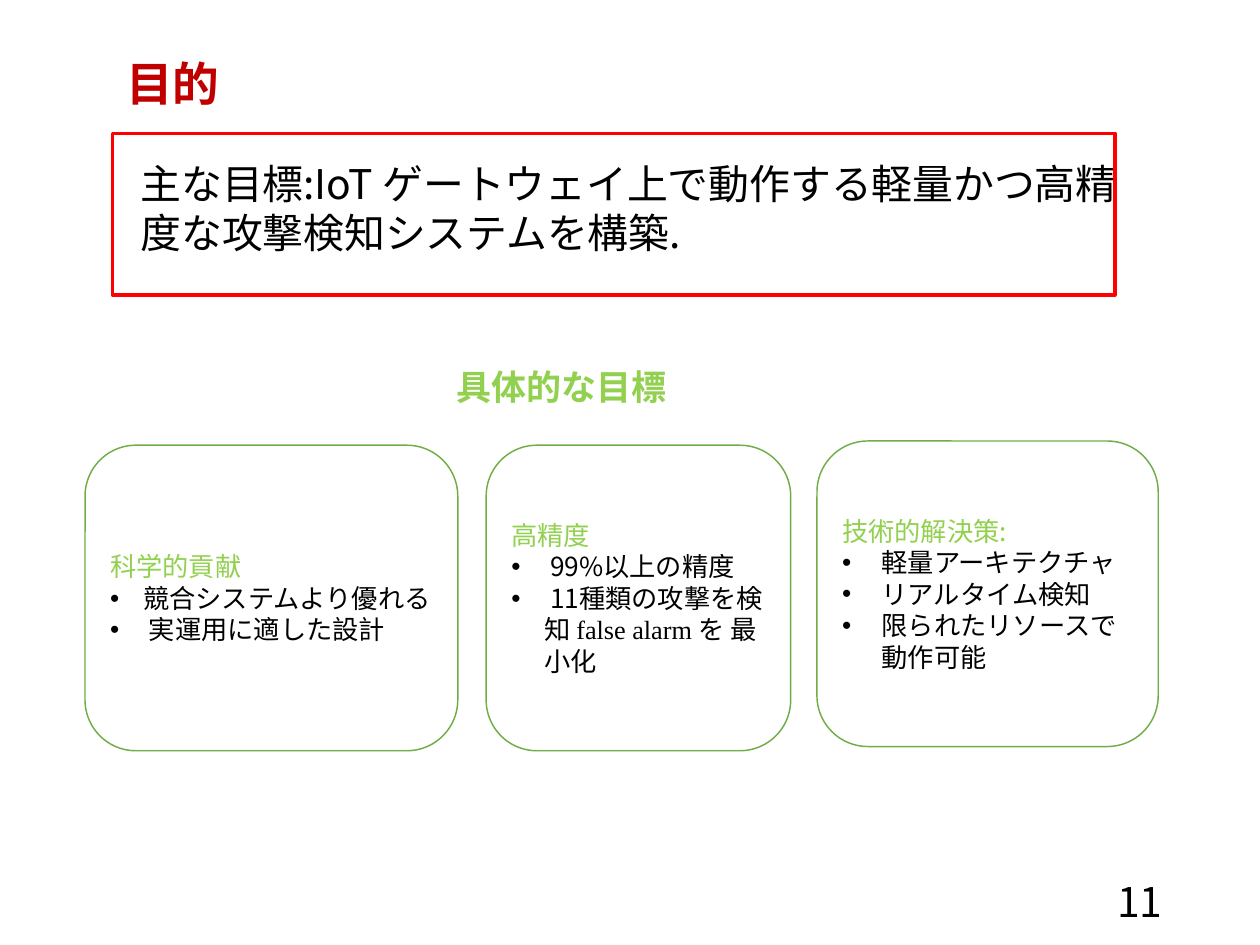
"""Build the slide on the goals of a lightweight attack detection system."""
from dataclasses import dataclass

from lxml import etree
from pptx import Presentation
from pptx.dml.color import RGBColor
from pptx.enum.shapes import MSO_SHAPE
from pptx.enum.text import MSO_ANCHOR, MSO_AUTO_SIZE, PP_ALIGN
from pptx.oxml.ns import qn
from pptx.util import Pt

RECTANGLE, ROUNDED = MSO_SHAPE.RECTANGLE, MSO_SHAPE.ROUNDED_RECTANGLE
TOP, MIDDLE = MSO_ANCHOR.TOP, MSO_ANCHOR.MIDDLE
LEFT, RIGHT = PP_ALIGN.LEFT, PP_ALIGN.RIGHT
NO_AUTOFIT = MSO_AUTO_SIZE.NONE

BLACK = RGBColor(0x00, 0x00, 0x00)
WHITE = RGBColor(0xFF, 0xFF, 0xFF)
RED = RGBColor(0xFF, 0x00, 0x00)
DARK_RED = RGBColor(0xC0, 0x00, 0x00)
LIME = RGBColor(0x92, 0xD0, 0x50)
GREEN = RGBColor(0x70, 0xAD, 0x47)

SANS = "Noto Sans CJK JP"
SERIF = "Times New Roman"
CARD_HEIGHT = 209.5


@dataclass
class Area:
    """Position and size in points."""
    left: float
    top: float
    width: float
    height: float


@dataclass
class Label:
    """A single line of text or a short passage."""
    text: str
    area: Area
    size: float
    color: RGBColor = BLACK
    bold: bool = False
    align: PP_ALIGN = LEFT
    anchor: MSO_ANCHOR = TOP


@dataclass
class Card:
    """A goal card; each bullet is a list of (text, font) spans."""
    heading: str
    bullets: list[list[tuple[str, str]]]
    area: Area
    indent: float


TITLE = Label("目的", Area(79.2, 33.8, 432, 46), 32, DARK_RED, True)
LABELS = [
    Label("主な目標:IoT ゲートウェイ上で動作する軽量かつ高精度な攻撃検知システムを構築.",
          Area(89.3, 105.1, 695.5, 108.7), 28),
    Label("具体的な目標", Area(306, 247, 432, 36), 24, LIME, True),
    Label("11", Area(609.8, 600.5, 194.4, 34.6), 28, align=RIGHT, anchor=MIDDLE),
]
GOAL_FRAME = Area(77, 91.4, 687.6, 110.9)
CARDS = [
    Card("科学的貢献",
         [[("競合システムより優れる", SANS)], [(" 実運用に適した設計", SANS)]],
         Area(58.3, 305.3, 255.6, CARD_HEIGHT), 22.5),
    Card("高精度",
         [[(" 99%以上の精度", SANS)],
          [(" 11種類の攻撃を検知 ", SANS), ("false alarm ", SERIF), ("を 最小化", SANS)]],
         Area(333.4, 305.3, 208.8, CARD_HEIGHT), 22.5),
    Card("技術的解決策:",
         [[("軽量アーキテクチャ", SANS)], [("リアルタイム検知", SANS)],
          [("限られたリソースで動作可能", SANS)]],
         Area(560.2, 302.4, 234, CARD_HEIGHT), 27),
]


def place(shape, area: Area) -> None:
    shape.left, shape.top = Pt(area.left), Pt(area.top)
    shape.width, shape.height = Pt(area.width), Pt(area.height)


def style_span(span, size: float, color: RGBColor, bold: bool = False,
               typeface: str = SANS) -> None:
    span.font.size = Pt(size)
    span.font.bold = bold
    span.font.color.rgb = color
    span.font.name = typeface
    latin = span.font._element.find(qn("a:latin"))
    east_asian = etree.Element(qn("a:ea"), typeface=SANS)
    latin.addnext(east_asian)


def fill_label(box, label: Label) -> None:
    place(box, label.area)
    frame = box.text_frame
    frame.word_wrap = True
    frame.auto_size = NO_AUTOFIT
    frame.vertical_anchor = label.anchor
    frame.text = label.text
    para = frame.paragraphs[0]
    para.alignment = label.align
    style_span(para.runs[0], label.size, label.color, label.bold)


def add_label(page, label: Label) -> None:
    fill_label(page.shapes.add_textbox(0, 0, 0, 0), label)


def add_outline(page, kind: MSO_SHAPE, area: Area, color: RGBColor, weight: float):
    shape = page.shapes.add_shape(kind, 0, 0, 0, 0)
    place(shape, area)
    shape.shadow.inherit = False
    shape.fill.background()
    shape.line.color.rgb = color
    shape.line.width = Pt(weight)
    return shape


def add_bullet(para, indent: float) -> None:
    properties = para._p.get_or_add_pPr()
    properties.set("marL", str(Pt(indent)))
    properties.set("indent", str(-Pt(indent)))
    etree.SubElement(properties, qn("a:buFont"), typeface="Arial")
    etree.SubElement(properties, qn("a:buChar"), char="•")


def add_card(page, card: Card) -> None:
    shape = add_outline(page, ROUNDED, card.area, GREEN, 1)
    shape.fill.solid()
    shape.fill.fore_color.rgb = WHITE
    frame = shape.text_frame
    frame.word_wrap = True
    frame.vertical_anchor = MIDDLE
    frame.text = card.heading
    heading = frame.paragraphs[0]
    heading.alignment = LEFT
    style_span(heading.runs[0], 18, LIME)
    for bullet in card.bullets:
        para = frame.add_paragraph()
        para.alignment = LEFT
        add_bullet(para, card.indent)
        for text, typeface in bullet:
            span = para.add_run()
            span.text = text
            style_span(span, 18, BLACK, typeface=typeface)


def main() -> None:
    deck = Presentation()
    deck.slide_width, deck.slide_height = Pt(864), Pt(648)
    page = deck.slides.add_slide(deck.slide_layouts[5])
    fill_label(page.shapes.title, TITLE)
    for label in LABELS:
        add_label(page, label)
    add_outline(page, RECTANGLE, GOAL_FRAME, RED, 2.25)
    for card in CARDS:
        add_card(page, card)
    deck.save("out.pptx")


if __name__ == "__main__":
    main()
